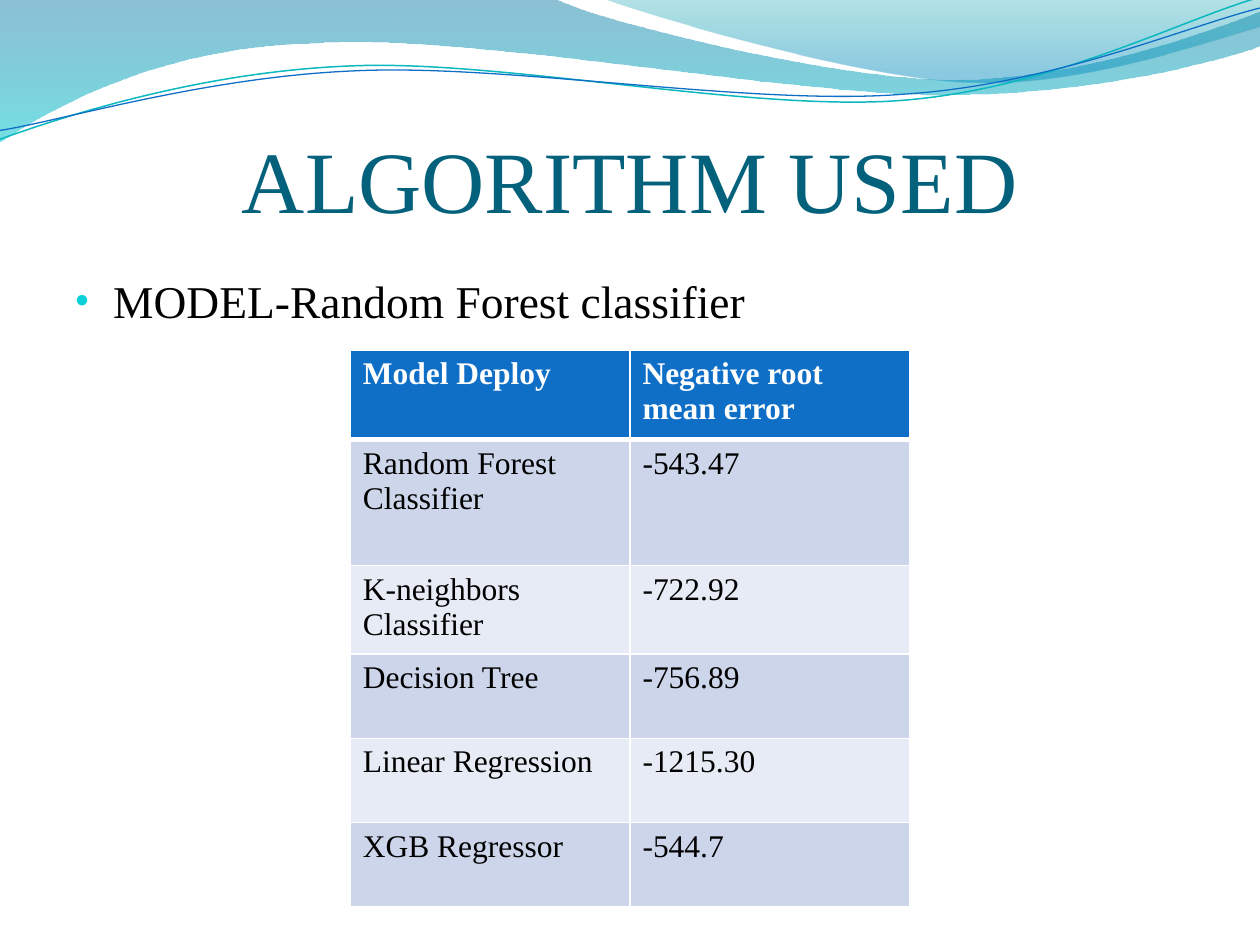
"""Builds the slide "ALGORITHM USED" with a wave banner and a table of model errors."""
import lxml.etree
import pptx
import pptx.dml.color
import pptx.enum.text
import pptx.oxml.ns
import pptx.util

Inches = pptx.util.Inches
Pt = pptx.util.Pt
RGBColor = pptx.dml.color.RGBColor
qn = pptx.oxml.ns.qn

WHITE = RGBColor(0xFF, 0xFF, 0xFF)
BLACK = RGBColor(0x00, 0x00, 0x00)
TITLE_TEAL = RGBColor(0x04, 0x61, 0x7B)
BULLET_CYAN = RGBColor(0x0B, 0xD0, 0xD9)
BLUE = RGBColor(0x0F, 0x6F, 0xC6)
LINE_TEAL = RGBColor(0x0A, 0xB8, 0xBF)
WAVE_BLUE = RGBColor(0x00, 0x74, 0xA1)
WAVE_CYAN = RGBColor(0x00, 0xC6, 0xCF)
CREST_TEAL = RGBColor(0x00, 0xA1, 0xA9)
CREST_BLUE = RGBColor(0x00, 0x8B, 0xBF)
BAND_DARK = RGBColor(0xCC, 0xD5, 0xEA)
BAND_LIGHT = RGBColor(0xE7, 0xEB, 0xF5)


def add_curve(slide, start, segments, closed):
    builder = slide.shapes.build_freeform(Inches(start[0]), Inches(start[1]))
    for segment in segments:
        lengths = [Inches(value) for value in segment]
        builder.add_line_segments(list(zip(lengths[::2], lengths[1::2])), close=False)
    if closed:
        builder.add_line_segments([], close=True)
    shape = builder.convert_to_shape()
    shape.shadow.inherit = False
    line_steps = iter(list(shape.element.iter(qn("a:lnTo"))))
    for segment in segments:
        first, *others = [next(line_steps) for _ in range(len(segment) // 2)]
        if others:
            curve = lxml.etree.Element(qn("a:cubicBezTo"))
            first.addprevious(curve)
            for step in (first, *others):
                curve.append(step[0])
                step.getparent().remove(step)
    return shape


def write_text(text_frame, text, font_format):
    paragraph = text_frame.paragraphs[0]
    run = paragraph.add_run()
    run.text = text
    run.font.name = "Times New Roman"
    run.font.color.rgb = font_format["color"]
    for name in ("size", "bold"):
        setattr(run.font, name, font_format[name])
    return paragraph


presentation = pptx.Presentation()
presentation.slide_width = Inches(10)
presentation.slide_height = Inches(7.5)
slide = presentation.slides.add_slide(presentation.slide_layouts[6])

waves = [
    ((0, 0),
     [(4.4, -0.01), (4.76, 0.17, 6.64, 0.63, 7.58, 0.63),
      (8.53, 0.63, 9.58, 0.26, 10, 0.09), (10.01, 0.36),
      (9.83, 0.44, 8.7, 0.76, 7.46, 0.75), (6.22, 0.75, 3.82, 0.28, 2.57, 0.34),
      (1.29, 0.36, 0.46, 0.83, -0.01, 1.13), (0, 0)],
     [(0, WAVE_BLUE, 45), (1, WAVE_CYAN, 55)]),
    ((4.79, -0.01),
     [(5.09, 0.11, 6.82, 0.62, 7.69, 0.65), (8.56, 0.69, 9.61, 0.32, 10, 0.21),
      (10, 0), (4.79, -0.01)],
     [(0, CREST_TEAL, 30), (0.8, CREST_BLUE, 45)]),
]
for start, segments, stops in waves:
    wave = add_curve(slide, start, segments, True)
    wave.line.fill.background()
    wave.fill.gradient()
    wave.fill.gradient_angle = 270
    for stop, (position, color, _) in zip(wave.fill.gradient_stops, stops):
        stop.position = position
        stop.color.rgb = color
    for color_element, (_, _, opacity) in zip(wave.element.iter(qn("a:srgbClr")), stops):
        lxml.etree.SubElement(color_element, qn("a:alpha"), val=str(opacity * 1000))

wave_lines = [
    ((-0.02, 0.87),
     [(0.47, 0.72, 1.58, 0.41, 2.78, 0.42), (3.96, 0.42, 5.91, 0.93, 7.12, 0.9),
      (8.32, 0.87, 9.4, 0.36, 10, 0.22)], LINE_TEAL, 0.85),
    ((-0.02, 0.8),
     [(0.46, 0.75, 1.64, 0.45, 2.83, 0.46), (4.03, 0.46, 5.96, 0.89, 7.16, 0.85),
      (8.35, 0.83, 9.42, 0.42, 10.02, 0.3)], BLUE, 0.75),
]
for start, segments, color, width in wave_lines:
    wave_line = add_curve(slide, start, segments, False)
    wave_line.rotation = 357.3
    wave_line.fill.background()
    wave_line.line.color.rgb = color
    wave_line.line.width = Pt(width)

title = slide.shapes.add_textbox(Inches(0.5), Inches(0.58), Inches(9), Inches(1.25))
title_format = {
    "word_wrap": True, "vertical_anchor": pptx.enum.text.MSO_ANCHOR.BOTTOM,
    "margin_left": 0, "margin_right": 0, "margin_top": Inches(0.05), "margin_bottom": 0,
}
for name, value in title_format.items():
    setattr(title.text_frame, name, value)
paragraph = write_text(title.text_frame, "ALGORITHM USED",
                       {"size": Pt(50), "bold": False, "color": TITLE_TEAL})
paragraph.alignment = pptx.enum.text.PP_ALIGN.CENTER

body = slide.shapes.add_textbox(Inches(0.5), Inches(2.12), Inches(9), Inches(4.8))
body.text_frame.word_wrap = True
paragraph = write_text(body.text_frame, "MODEL-Random Forest classifier",
                       {"size": Pt(26), "bold": False, "color": BLACK})
paragraph.space_before = Pt(5.2)
properties = paragraph._p.get_or_add_pPr()
properties.set("marL", str(Inches(0.3)))
properties.set("indent", str(-Inches(0.3)))
bullet_color = lxml.etree.SubElement(properties, qn("a:buClr"))
lxml.etree.SubElement(bullet_color, qn("a:srgbClr"), val=str(BULLET_CYAN))
lxml.etree.SubElement(properties, qn("a:buSzPct"), val="85000")
lxml.etree.SubElement(properties, qn("a:buFont"), typeface="Arial")
lxml.etree.SubElement(properties, qn("a:buChar"), char="•")

rows = [
    (0.71, "Model Deploy", "Negative root mean error"),
    (1, "Random Forest Classifier", "-543.47"),
    (0.7, "K-neighbors Classifier", "-722.92"),
    (0.67, "Decision Tree", "-756.89"),
    (0.67, "Linear Regression", "-1215.30"),
    (0.67, "XGB Regressor", "-544.7"),
]
table = slide.shapes.add_table(len(rows), 2, Inches(2.78), Inches(2.78),
                               Inches(4.44), Inches(4.42)).table
for column in table.columns:
    column.width = Inches(2.22)
for row_index, (height, *texts) in enumerate(rows):
    table.rows[row_index].height = Inches(height)
    header = row_index == 0
    band = BLUE if header else BAND_DARK if row_index % 2 else BAND_LIGHT
    cell_format = {"size": Pt(18), "bold": header, "color": WHITE if header else BLACK}
    borders = {"lnL": 1, "lnR": 1, "lnT": 3 if row_index == 1 else 1, "lnB": 3 if header else 1}
    for column_index, text in enumerate(texts):
        cell = table.cell(row_index, column_index)
        write_text(cell.text_frame, text, cell_format)
        cell_properties = cell._tc.get_or_add_tcPr()
        for side, width in borders.items():
            border = lxml.etree.SubElement(cell_properties, qn("a:" + side), w=str(Pt(width)))
            border_fill = lxml.etree.SubElement(border, qn("a:solidFill"))
            lxml.etree.SubElement(border_fill, qn("a:srgbClr"), val=str(WHITE))
        cell.fill.solid()
        cell.fill.fore_color.rgb = band

presentation.save("out.pptx")
